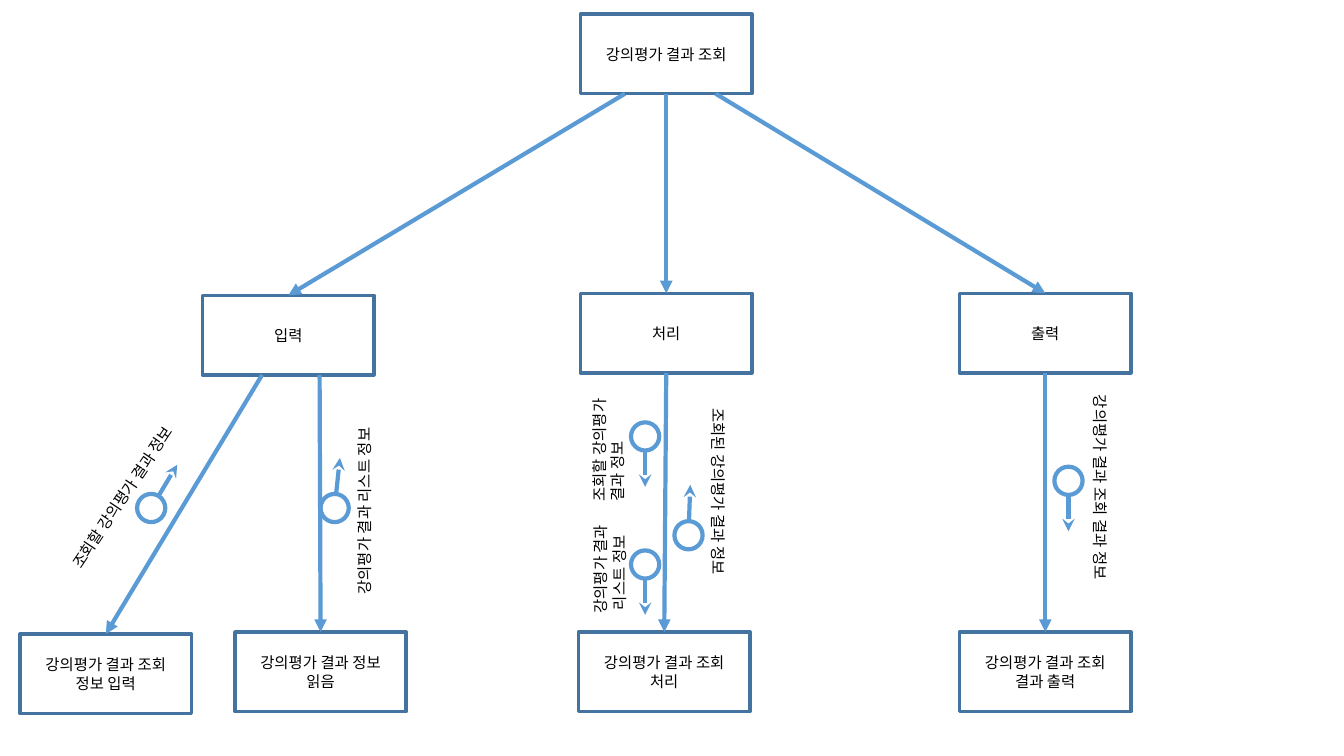
from dataclasses import dataclass
from math import cos, radians, sin
from typing import Optional

from lxml.etree import SubElement
from pptx import Presentation
from pptx.dml.color import RGBColor
from pptx.enum.shapes import MSO_CONNECTOR as CONN, MSO_SHAPE as SHAPE
from pptx.enum.text import MSO_ANCHOR as ANCHOR, MSO_AUTO_SIZE as AUTO, PP_ALIGN as ALIGN
from pptx.oxml.ns import qn
from pptx.util import Inches, Pt

COLORS = {"border": "43739E", "flow": "5B9BD5", "text": "000000"}
FONT = "Noto Sans CJK KR"
SLIDE_W, SLIDE_H = Inches(13.333), Inches(7.5)
TOP, BOTTOM = 0, 2
BOX_W, BOX_H = 12.75, 10.53
LINE_H = 2.4
LABEL_PAD = 1.47
RADIUS, REACH = Inches(0.14), Inches(0.5)


@dataclass(frozen=True)
class Module:
    key: str
    x: float
    y: float
    text: str


@dataclass(frozen=True)
class Call:
    caller: str
    callee: str
    start_x: Optional[float] = None


@dataclass(frozen=True)
class Couple:
    x: float
    y: float
    heading: float


@dataclass(frozen=True)
class Label:
    x: float
    y: float
    width: float
    rotation: float
    lines: tuple[str, ...]
    wrap: bool = True
    last_indent: float = 0


MODULES = [
    Module("root", 43.2, 1.87, "강의평가 결과 조회"),
    Module("input", 15.08, 39.07, "입력"),
    Module("process", 43.2, 38.8, "처리"),
    Module("output", 71.4, 38.8, "출력"),
    Module("enter", 1.5, 83.87, "강의평가 결과 조회 정보 입력"),
    Module("read", 17.48, 83.6, "강의평가 결과 정보 읽음"),
    Module("query", 43.05, 83.6, "강의평가 결과 조회 처리"),
    Module("show", 71.4, 83.6, "강의평가 결과 조회 결과 출력"),
]
CALLS = [
    Call("root", "input", 46.5),
    Call("root", "process"),
    Call("root", "output", 53.25),
    Call("input", "enter", 19.5),
    Call("input", "read", 23.78),
    Call("process", "query"),
    Call("output", "show"),
]
COUPLES = [
    Couple(11.25, 67.2, 31),
    Couple(24.9, 67.2, 6),
    Couple(48, 57.73, 180),
    Couple(48, 74.67, 180),
    Couple(51.23, 70.8, 2),
    Couple(79.5, 63.6, 180),
]
LABELS = [
    Label(9.98, 63.53, 16.95, 303.8, ("조회할 강의평가 결과 정보",)),
    Label(27.15, 64.87, 16.95, 270, ("강의평가 결과 리스트 정보",)),
    Label(45.3, 58.73, 10.05, 270, ("조회할 강의평가", "결과 정보"), False),
    Label(45.38, 74.6, 8.85, 270, ("강의평가 결과", "리스트 정보"), False, 0.26),
    Label(53.44, 66.6, 15.68, 90, ("조회된 강의평가 결과 정보",)),
    Label(81.86, 66.07, 17.03, 90, ("강의평가 결과 조회 결과 정보",), False),
]


def across(share: float) -> int:
    return round(SLIDE_W * share / 100)


def down(share: float) -> int:
    return round(SLIDE_H * share / 100)


def style_text(p) -> None:
    p.font.size = Pt(11)
    p.font.color.rgb = RGBColor.from_string(COLORS["text"])
    p.font.name = FONT
    SubElement(p._p.pPr.find(qn("a:defRPr")), qn("a:ea"), typeface=FONT)


def style_outline(sp, color: str, width: float) -> None:
    sp.shadow.inherit = False
    sp.fill.background()
    sp.line.color.rgb = RGBColor.from_string(COLORS[color])
    sp.line.width = Pt(width)


def add_arrow(shapes, x1: int, y1: int, x2: int, y2: int, head: str):
    c = shapes.add_connector(CONN.STRAIGHT, x1, y1, x2, y2)
    c.line.color.rgb = RGBColor.from_string(COLORS["flow"])
    c.line.width = Pt(3)
    SubElement(c.line._get_or_add_ln(), qn("a:tailEnd"), type=head)
    SubElement(c._element.spPr, qn("a:effectLst"))
    return c


def add_module(shapes, module: Module):
    sp = shapes.add_shape(SHAPE.RECTANGLE, across(module.x), down(module.y),
                          across(BOX_W), down(BOX_H))
    style_outline(sp, "border", 2.5)
    tf = sp.text_frame
    tf.word_wrap = True
    tf.vertical_anchor = ANCHOR.MIDDLE
    p = tf.paragraphs[0]
    p.text = module.text
    p.alignment = ALIGN.CENTER
    style_text(p)
    return sp


def add_call(shapes, call: Call, boxes: dict) -> None:
    caller, callee = boxes[call.caller], boxes[call.callee]
    x = across(call.start_x or 0)
    c = add_arrow(shapes, x, caller.top + caller.height, callee.left, callee.top, "triangle")
    if call.start_x is None:
        c.begin_connect(caller, BOTTOM)
    c.end_connect(callee, TOP)


def add_couple(shapes, couple: Couple) -> None:
    group = shapes.add_group_shape().shapes
    x, y = across(couple.x), down(couple.y)
    dx, dy = sin(radians(couple.heading)), -cos(radians(couple.heading))
    sp = group.add_shape(SHAPE.OVAL, x - RADIUS, y - RADIUS, 2 * RADIUS, 2 * RADIUS)
    style_outline(sp, "flow", 3)
    add_arrow(group, round(x + RADIUS * dx), round(y + RADIUS * dy),
              round(x + REACH * dx), round(y + REACH * dy), "stealth")


def add_label(shapes, label: Label) -> None:
    w, h = across(label.width), down(LABEL_PAD + LINE_H * len(label.lines))
    sp = shapes.add_textbox(across(label.x) - w // 2, down(label.y) - h // 2, w, h)
    sp.rotation = label.rotation
    tf = sp.text_frame
    tf.word_wrap = label.wrap
    tf.auto_size = AUTO.SHAPE_TO_FIT_TEXT
    for i, line in enumerate(label.lines):
        p = tf.add_paragraph() if i else tf.paragraphs[0]
        p.text = line
        style_text(p)
    if label.last_indent:
        p._p.pPr.set("marL", str(across(label.last_indent)))


def main() -> None:
    prs = Presentation()
    prs.slide_width, prs.slide_height = SLIDE_W, SLIDE_H
    shapes = prs.slides.add_slide(prs.slide_layouts[6]).shapes
    boxes = {module.key: add_module(shapes, module) for module in MODULES}
    for call in CALLS:
        add_call(shapes, call, boxes)
    for couple in COUPLES:
        add_couple(shapes, couple)
    for label in LABELS:
        add_label(shapes, label)
    prs.save("out.pptx")


if __name__ == "__main__":
    main()
